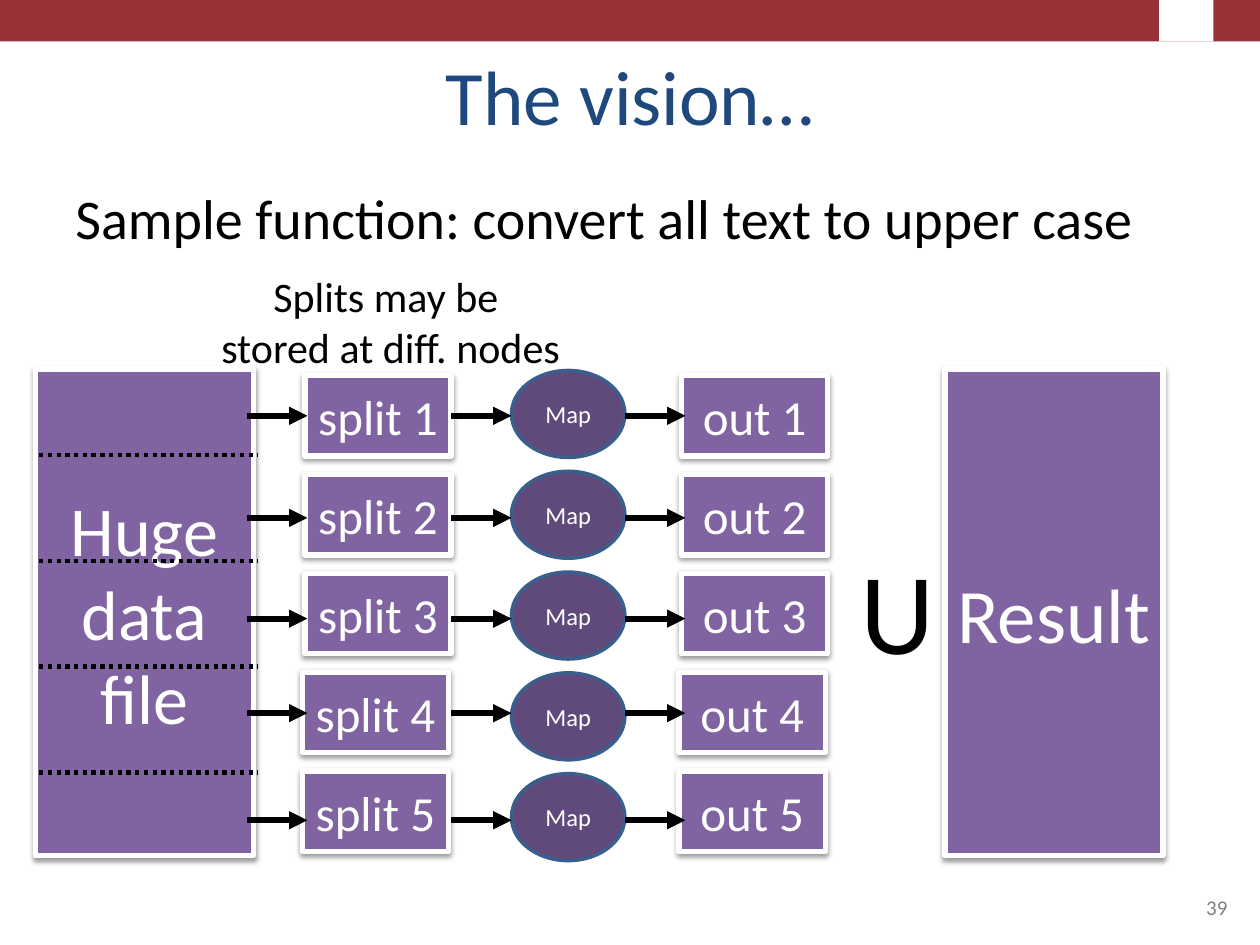
import pptx
import pptx.util
import pptx.dml.color
import pptx.enum.dml
import pptx.enum.shapes
import pptx.enum.text
import pptx.oxml
import pptx.oxml.ns
from dataclasses import dataclass

Inches = pptx.util.Inches
Pt = pptx.util.Pt
Align = pptx.enum.text.PP_ALIGN
Anchor = pptx.enum.text.MSO_ANCHOR
Shape = pptx.enum.shapes.MSO_SHAPE
DRAWING_NS = pptx.oxml.ns.nsdecls("a")


@dataclass(frozen=True)
class Theme:
    font: str = "Calibri"
    banner: str = "963237"
    title: str = "1F497D"
    ink: str = "000000"
    paper: str = "FFFFFF"
    muted: str = "808080"
    box: str = "8064A2"
    map_fill: str = "604A7B"
    map_line: str = "3A5F8C"
    title_size: int = 44
    union_size: int = 66
    file_size: int = 40
    body_size: int = 32
    split_size: int = 28
    note_size: int = 24
    map_size: int = 14
    number_size: int = 12


theme = Theme()
color = pptx.dml.color.RGBColor.from_string


def write(shape, lines, size, ink, align=Align.CENTER, anchor=Anchor.MIDDLE, wrap=True):
    frame = shape.text_frame
    frame.word_wrap = wrap
    frame.vertical_anchor = anchor
    for index, line in enumerate(lines):
        paragraph = frame.paragraphs[0] if index == 0 else frame.add_paragraph()
        paragraph.alignment = align
        run = paragraph.add_run()
        run.text = line
        run.font.name = theme.font
        run.font.size = Pt(size)
        run.font.color.rgb = color(ink)


def add_line(x1, x2, y, width):
    line = slide.shapes.add_connector(
        pptx.enum.shapes.MSO_CONNECTOR.STRAIGHT, Inches(x1), Inches(y), Inches(x2), Inches(y))
    line.line.color.rgb = color(theme.ink)
    line.line.width = Pt(width)
    line._element.spPr.append(pptx.oxml.parse_xml(f"<a:effectLst {DRAWING_NS}/>"))
    return line


presentation = pptx.Presentation()
presentation.slide_width = Inches(10)
presentation.slide_height = Inches(7.5)
slide = presentation.slides.add_slide(presentation.slide_layouts[5])

# Banner, with a plain block where the emblem goes
for left, width, fill in [(0, 10, theme.banner), (9.2, 0.43, theme.paper)]:
    banner = slide.shapes.add_shape(Shape.RECTANGLE, Inches(left), 0, Inches(width), Inches(0.33))
    banner.shadow.inherit = False
    banner.fill.solid()
    banner.fill.fore_color.rgb = color(fill)
    banner.line.fill.background()

# Title
title = slide.shapes.title
title.left, title.top = Inches(0.5), Inches(0.3)
title.width, title.height = Inches(9), Inches(0.87)
write(title, ["The vision…"], theme.title_size, theme.title, anchor=Anchor.BOTTOM)

# Plain text: statement, note, union sign, slide number
texts = [
    (0.5, 1.41, 8.83, 1.24, ["Sample function: convert all text to upper case"],
     theme.body_size, theme.ink, Align.LEFT, Anchor.TOP, True),
    (1.64, 2.1, 2.92, 0.91, ["Splits may be ", "stored at diff. nodes"],
     theme.note_size, theme.ink, Align.CENTER, Anchor.TOP, False),
    (6.73, 4.23, 0.8, 1.21, ["U"],
     theme.union_size, theme.ink, Align.LEFT, Anchor.TOP, False),
    (7.17, 6.83, 2.67, 0.52, ["39"],
     theme.number_size, theme.muted, Align.RIGHT, Anchor.BOTTOM, True),
]
for left, top, width, height, lines, size, ink, align, anchor, wrap in texts:
    text_box = slide.shapes.add_textbox(Inches(left), Inches(top), Inches(width), Inches(height))
    write(text_box, lines, size, ink, align, anchor, wrap)

# Boxes: input file, result, and one split and one output per row
rows = range(5)
boxes = [
    (0.28, 2.93, 1.73, 3.86, ["Huge", "data", "file"], theme.file_size),
    (7.5, 2.93, 1.73, 3.86, ["Result"], theme.title_size),
]
for name, column in [("split", 2.42), ("out", 5.41)]:
    for row in rows:
        left = column if row < 3 else column - 0.02
        boxes.append((left, 2.98 + 0.785 * row, 1.16, 0.64, [f"{name} {row + 1}"], theme.split_size))

for left, top, width, height, lines, size in boxes:
    box = slide.shapes.add_shape(
        Shape.RECTANGLE, Inches(left), Inches(top), Inches(width), Inches(height))
    box.fill.solid()
    box.fill.fore_color.rgb = color(theme.box)
    box.line.color.rgb = color(theme.paper)
    box.line.width = Pt(3)
    box.shadow.inherit = False
    effects = box._element.spPr.find(pptx.oxml.ns.qn("a:effectLst"))
    effects.append(pptx.oxml.parse_xml(
        f'<a:outerShdw {DRAWING_NS} blurRad="{Pt(3.1)}" dist="{Pt(1.6)}" dir="5400000" '
        f'rotWithShape="0"><a:srgbClr val="{theme.ink}"><a:alpha val="38000"/></a:srgbClr>'
        '</a:outerShdw>'))
    write(box, lines, size, theme.paper)

# Dotted cuts through the input file
for cut in range(4):
    divider = add_line(0.31, 2.05, 3.61 + 0.84 * cut, 2.5)
    divider.line.dash_style = pptx.enum.dml.MSO_LINE.ROUND_DOT

# Map step of each row
for row in rows:
    ellipse = slide.shapes.add_shape(
        Shape.OVAL, Inches(4.06), Inches(2.94 + 0.8 * row), Inches(0.9), Inches(0.69))
    ellipse.shadow.inherit = False
    ellipse.fill.solid()
    ellipse.fill.fore_color.rgb = color(theme.map_fill)
    ellipse.line.color.rgb = color(theme.map_line)
    ellipse.line.width = Pt(2)
    write(ellipse, ["Map"], theme.map_size, theme.paper)

# Arrows from file to split to map to output
for start in (1.96, 3.58, 4.96):
    for y in (3.3, 4.11, 4.91, 5.66, 6.51):
        arrow = add_line(start, start + 0.48, y, 3.5)
        arrow.line._get_or_add_ln().append(
            pptx.oxml.parse_xml(f'<a:tailEnd {DRAWING_NS} type="triangle"/>'))

presentation.save("out.pptx")
